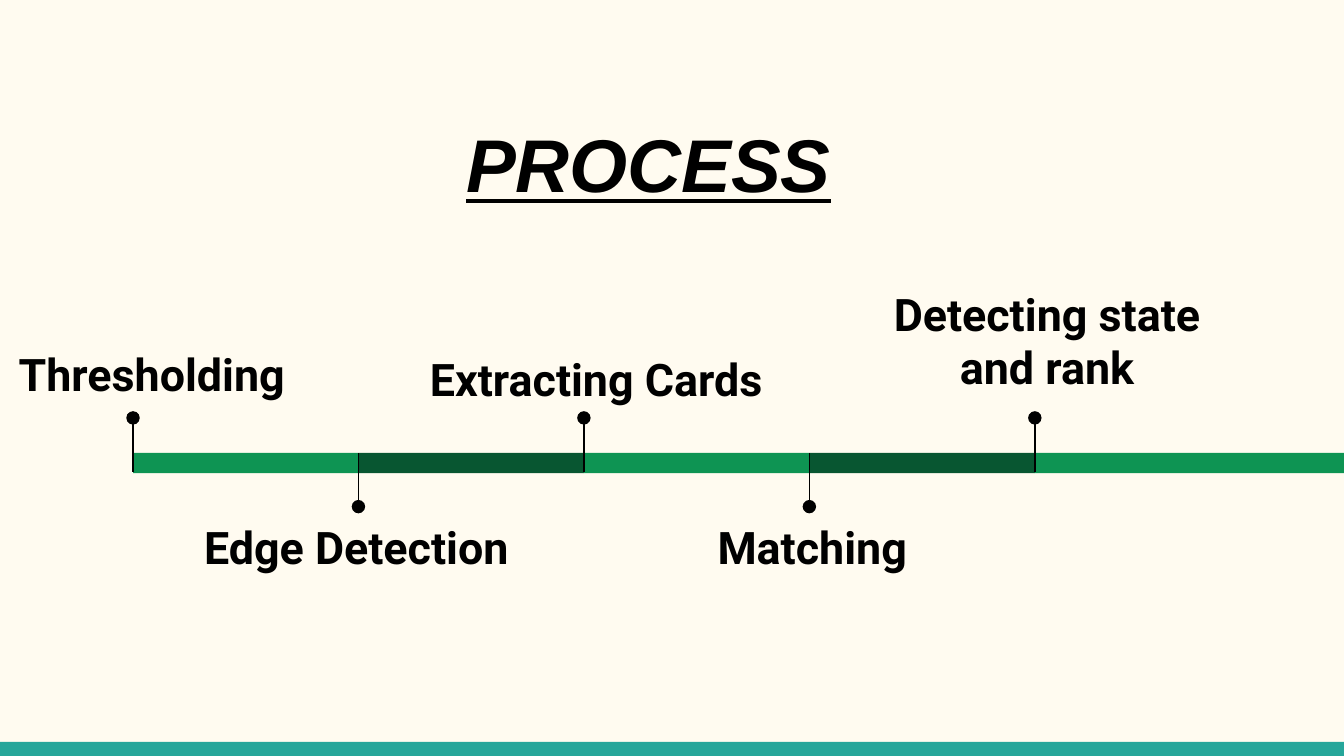
from dataclasses import dataclass

import pptx
import pptx.dml.color
import pptx.enum.shapes
import pptx.enum.text
import pptx.oxml
import pptx.oxml.ns
import pptx.util
from pptx.util import Inches

COLORS = {
    "background": "FFFBF0",
    "footer": "26A69A",
    "light": "0E9453",
    "dark": "085631",
    "ink": "000000",
}
SHAPE = pptx.enum.shapes.MSO_SHAPE
LEFT = pptx.enum.text.PP_ALIGN.LEFT
CENTER = pptx.enum.text.PP_ALIGN.CENTER

SLIDE_WIDTH = 10
SLIDE_HEIGHT = SLIDE_WIDTH * 9 / 16
FOOTER_TOP = 5.52
BAR_LEFT, BAR_TOP, BAR_HEIGHT = 0.99, 3.37, 0.15
LAST_BAR_LEFT = 7.7
DOT_SIZE = 0.1


@dataclass
class Label:
    text: str
    left: float
    top: float
    width: float
    height: float = 0.58
    align: pptx.enum.text.PP_ALIGN = LEFT
    font: str = "Roboto"
    size: int = 24
    emphasis: bool = False


TITLE = Label("PROCESS", 2.36, 0.78, 4.93, 0.63, CENTER, "Arial", 40, True)
STEPS = [
    Label("Thresholding", 0.04, 2.48, 2.22),
    Label("Edge Detection", 1.42, 3.77, 2.62),
    Label("Extracting Cards", 3.1, 2.52, 2.87),
    Label("Matching", 5.24, 3.77, 1.69),
    Label("Detecting state and rank", 6.53, 2.03, 2.52, 1.08, CENTER),
]
STEP_WIDTH = (LAST_BAR_LEFT - BAR_LEFT) / (len(STEPS) - 1)


def rgb(name: str) -> pptx.dml.color.RGBColor:
    return pptx.dml.color.RGBColor.from_string(COLORS[name])


def add_filled(shapes, kind: SHAPE, left: float, top: float,
               width: float, height: float, color: str) -> None:
    filled = shapes.add_shape(
        kind, Inches(left), Inches(top), Inches(width), Inches(height))
    filled.shadow.inherit = False
    filled.fill.solid()
    filled.fill.fore_color.rgb = rgb(color)
    filled.line.fill.background()


def add_stem(shapes, x: float, start: float, end: float) -> None:
    stem = shapes.add_connector(
        pptx.enum.shapes.MSO_CONNECTOR.STRAIGHT,
        Inches(x), Inches(start), Inches(x), Inches(end))
    stem.line.color.rgb = rgb("ink")
    stem.line.width = pptx.util.Pt(0.75)
    stem.element.spPr.append(
        pptx.oxml.parse_xml(f"<a:effectLst {pptx.oxml.ns.nsdecls('a')}/>"))


def add_label(shapes, label: Label) -> None:
    box = shapes.add_textbox(Inches(label.left), Inches(label.top),
                             Inches(label.width), Inches(label.height))
    frame = box.text_frame
    frame.word_wrap = True
    frame.margin_left = frame.margin_right = Inches(0.1)
    frame.margin_top = frame.margin_bottom = Inches(0.1)
    paragraph = frame.paragraphs[0]
    paragraph.alignment = label.align
    run = paragraph.add_run()
    run.text = label.text
    run.font.name = label.font
    run.font.size = pptx.util.Pt(label.size)
    run.font.bold = True
    run.font.italic = run.font.underline = label.emphasis
    run.font.color.rgb = rgb("ink")


def add_step(shapes, index: int, label: Label) -> None:
    """Group a bar segment with its marker; even steps point up, odd ones down."""
    points_up = index % 2 == 0
    x = BAR_LEFT + index * STEP_WIDTH
    is_last = index == len(STEPS) - 1
    width = SLIDE_WIDTH - x if is_last else STEP_WIDTH
    step = shapes.add_group_shape().shapes
    add_filled(step, SHAPE.RECTANGLE, x, BAR_TOP, width, BAR_HEIGHT,
               "light" if points_up else "dark")
    start, end, dot_top = (3.12, 3.51, 3.06) if points_up else (3.76, 3.37, 3.72)
    add_stem(step, x, start, end)
    add_filled(step, SHAPE.OVAL, x - DOT_SIZE / 2, dot_top,
               DOT_SIZE, DOT_SIZE, "ink")
    add_label(shapes, label)


def main() -> None:
    deck = pptx.Presentation()
    deck.slide_width = Inches(SLIDE_WIDTH)
    deck.slide_height = Inches(SLIDE_HEIGHT)
    slide = deck.slides.add_slide(deck.slide_layouts[6])
    slide.background.fill.solid()
    slide.background.fill.fore_color.rgb = rgb("background")

    add_filled(slide.shapes, SHAPE.RECTANGLE, 0, FOOTER_TOP, SLIDE_WIDTH,
               SLIDE_HEIGHT - FOOTER_TOP, "footer")
    for index, label in enumerate(STEPS):
        add_step(slide.shapes, index, label)
    add_label(slide.shapes, TITLE)
    deck.save("out.pptx")


if __name__ == "__main__":
    main()
